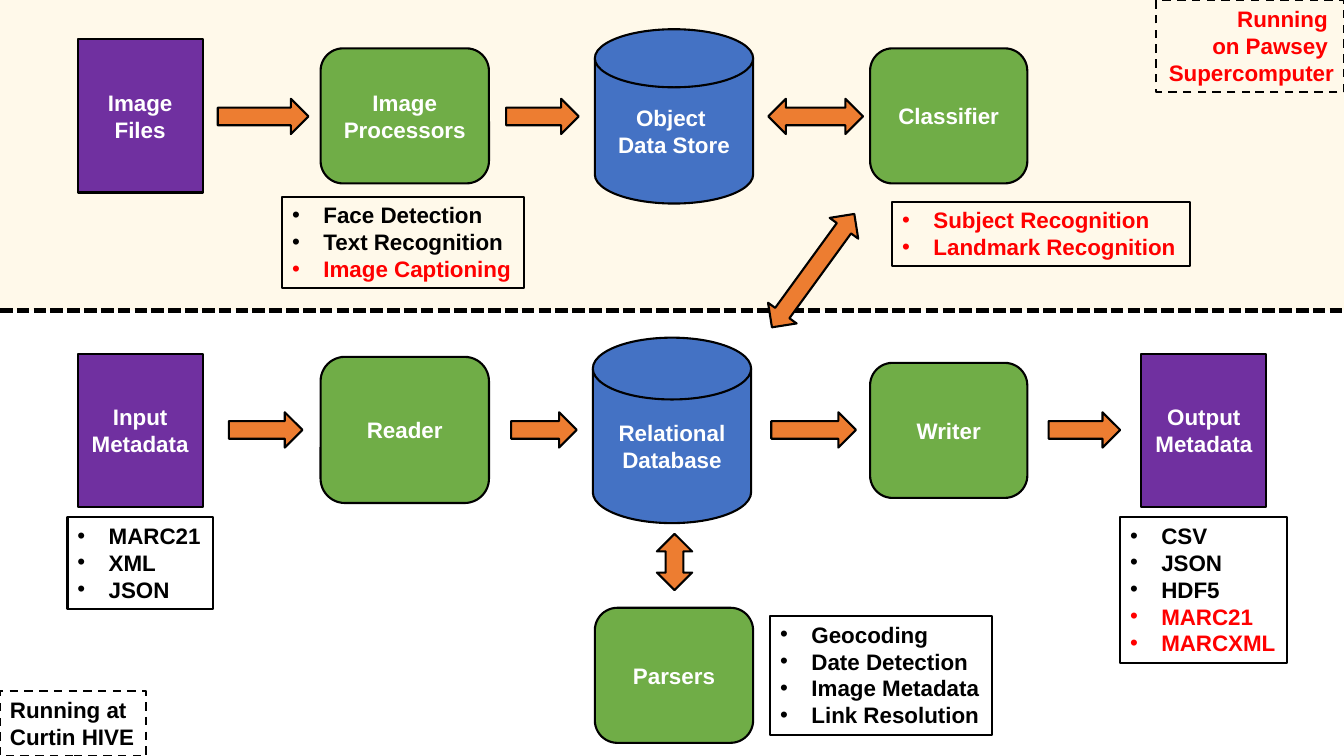
from copy import deepcopy
from dataclasses import dataclass

from pptx import Presentation, util as u
from pptx.dml.color import RGBColor
from pptx.enum import dml, shapes, text
from pptx.oxml import parse_xml
from pptx.oxml.ns import nsdecls, qn
from pptx.oxml.xmlchemy import OxmlElement

PX = 9144
WIDTH, HEIGHT, DIVIDE = 1333, 750, 308
ARROW_H = 35
KIND = shapes.MSO_SHAPE
ALIGN = text.PP_ALIGN


@dataclass(frozen=True)
class Theme:
    font: str = "Arial"
    size: int = 16
    edge: float = 1.5
    divider: int = 3
    black: str = "000000"
    white: str = "FFFFFF"
    red: str = "FF0000"
    band: str = "FFF2CC"
    band_alpha: int = 40
    file: str = "7030A0"
    step: str = "70AD47"
    store: str = "4472C4"
    arrow: str = "ED7D31"


T = Theme()


def px(*lengths):
    return [u.Emu(n * PX) for n in lengths]


def apply(target, values):
    for name, value in values.items():
        setattr(target, name, value)


def set_line(line, width=T.edge, dash=None):
    line.color.rgb = RGBColor.from_string(T.black)
    line.width = u.Pt(width)
    if dash:
        line.dash_style = dash


def write(p, words, color, align):
    p.text = words
    p.alignment = align
    for r in p.runs:
        apply(r.font, {"name": T.font, "size": u.Pt(T.size), "bold": True})
        r.font.color.rgb = RGBColor.from_string(color)
    for br in p._p.findall(qn("a:br")):
        br.append(deepcopy(p.runs[0].font._element))


def add_bullet(p):
    pPr = p._p.get_or_add_pPr()
    indent = 31 * PX
    pPr.set("marL", str(indent))
    pPr.set("indent", str(-indent))
    pPr.append(parse_xml(f'<a:buFont {nsdecls("a")} typeface="{T.font}"/>'))
    pPr.append(parse_xml(f'<a:buChar {nsdecls("a")} char="•"/>'))


def shape(s, kind, box, fill, words=None):
    sp = s.shapes.add_shape(kind, *px(*box))
    sp.shadow.inherit = False
    sp.fill.solid()
    sp.fill.fore_color.rgb = RGBColor.from_string(fill)
    set_line(sp.line)
    if words:
        tf = sp.text_frame
        apply(tf, {"word_wrap": True, "vertical_anchor": text.MSO_ANCHOR.MIDDLE})
        write(tf.paragraphs[0], words, T.white, ALIGN.CENTER)
    return sp


def arrow(s, x, y, w, two_way=False, rotation=0):
    kind = KIND.LEFT_RIGHT_ARROW if two_way else KIND.RIGHT_ARROW
    shape(s, kind, (x, y, w, ARROW_H), T.arrow).rotation = rotation


def text_box(s, box, wrap=False, dash=None):
    sp = s.shapes.add_textbox(*px(*box))
    set_line(sp.line, dash=dash)
    tf = sp.text_frame
    apply(tf, {"word_wrap": wrap, "auto_size": text.MSO_AUTO_SIZE.SHAPE_TO_FIT_TEXT})
    return tf


def bullet_list(s, box, current, planned=(), wrap=False):
    tf = text_box(s, box, wrap)
    items = [(w, T.black) for w in current] + [(w, T.red) for w in planned]
    for i, (words, color) in enumerate(items):
        p = tf.add_paragraph() if i else tf.paragraphs[0]
        add_bullet(p)
        write(p, words, color, ALIGN.LEFT)


def location_tag(s, box, words, color, align):
    tf = text_box(s, box, dash=dml.MSO_LINE.DASH)
    write(tf.paragraphs[0], words, color, align)


def background_band(s, x, y, w, h):
    sp = shape(s, KIND.RECTANGLE, (x, y, w, h), T.band)
    sp.line.fill.background()
    alpha = OxmlElement("a:alpha")
    alpha.set("val", str(T.band_alpha * 1000))
    sp._element.spPr.find(qn("a:solidFill"))[0].append(alpha)
    line = s.shapes.add_connector(
        shapes.MSO_CONNECTOR.STRAIGHT, *px(x, y + h, x + w, y + h))
    set_line(line.line, T.divider, dml.MSO_LINE.SQUARE_DOT)
    line._element.spPr.append(OxmlElement("a:effectLst"))


def image_region(s, x, y, w, h):
    background_band(s, x, y, w, h)
    shape(s, KIND.RECTANGLE, (x + 77, y + 39, 124, 152), T.file, "Image Files")
    for left, width, words in ((318, 167, "Image Processors"), (863, 156, "Classifier")):
        shape(s, KIND.ROUNDED_RECTANGLE, (x + left, y + 48, width, 134), T.step, words)
    shape(s, KIND.FLOWCHART_MAGNETIC_DISK, (x + 590, y + 29, 157, 173),
          T.store, "Object \nData Store")
    for left, width, two_way in ((216, 90, False), (502, 72, False), (762, 94, True)):
        arrow(s, x + left, y + 98, width, two_way)
    arrow(s, x + 737, y + 251, 139, True, 306)
    bullet_list(s, (x + 280, y + 195, 240, 91),
                ("Face Detection", "Text Recognition"), ("Image Captioning",))
    bullet_list(s, (x + 885, y + 200, 295, 64), (),
                ("Subject Recognition", "Landmark Recognition"), wrap=True)
    location_tag(s, (x + w - 186, y, 186, 91),
                 "Running \non Pawsey \nSupercomputer", T.red, ALIGN.RIGHT)


def metadata_region(s, x, y, w, h):
    for left, words in ((77, "Input Metadata"), (1132, "Output Metadata")):
        shape(s, KIND.RECTANGLE, (x + left, y + 43, 124, 152), T.file, words)
    for left, top, width, height, words in (
            (318, 46, 167, 145, "Reader"),
            (863, 52, 156, 134, "Writer"),
            (590, 295, 157, 134, "Parsers")):
        shape(s, KIND.ROUNDED_RECTANGLE, (x + left, y + top, width, height), T.step, words)
    shape(s, KIND.FLOWCHART_MAGNETIC_DISK, (x + 588, y + 27, 157, 184),
          T.store, "Relational\nDatabase")
    for left, width in ((227, 73), (507, 65), (765, 84), (1040, 71)):
        arrow(s, x + left, y + 101, width)
    arrow(s, x + 641, y + 232, 56, True, 270)
    bullet_list(s, (x + 67, y + 205, 144, 91), ("MARC21", "XML", "JSON"))
    bullet_list(s, (x + 1111, y + 205, 166, 145),
                ("CSV", "JSON", "HDF5"), ("MARC21", "MARCXML"))
    bullet_list(s, (x + 764, y + 303, 220, 118),
                ("Geocoding", "Date Detection", "Image Metadata", "Link Resolution"))
    location_tag(s, (x, y + h - 64, 145, 64),
                 "Running at \nCurtin HIVE", T.black, ALIGN.LEFT)


def main():
    prs = Presentation()
    prs.slide_width, prs.slide_height = px(WIDTH, HEIGHT)
    s = prs.slides.add_slide(prs.slide_layouts[6])
    image_region(s, 0, 0, WIDTH, DIVIDE)
    metadata_region(s, 0, DIVIDE, WIDTH, HEIGHT - DIVIDE)
    prs.save("out.pptx")


if __name__ == "__main__":
    main()
